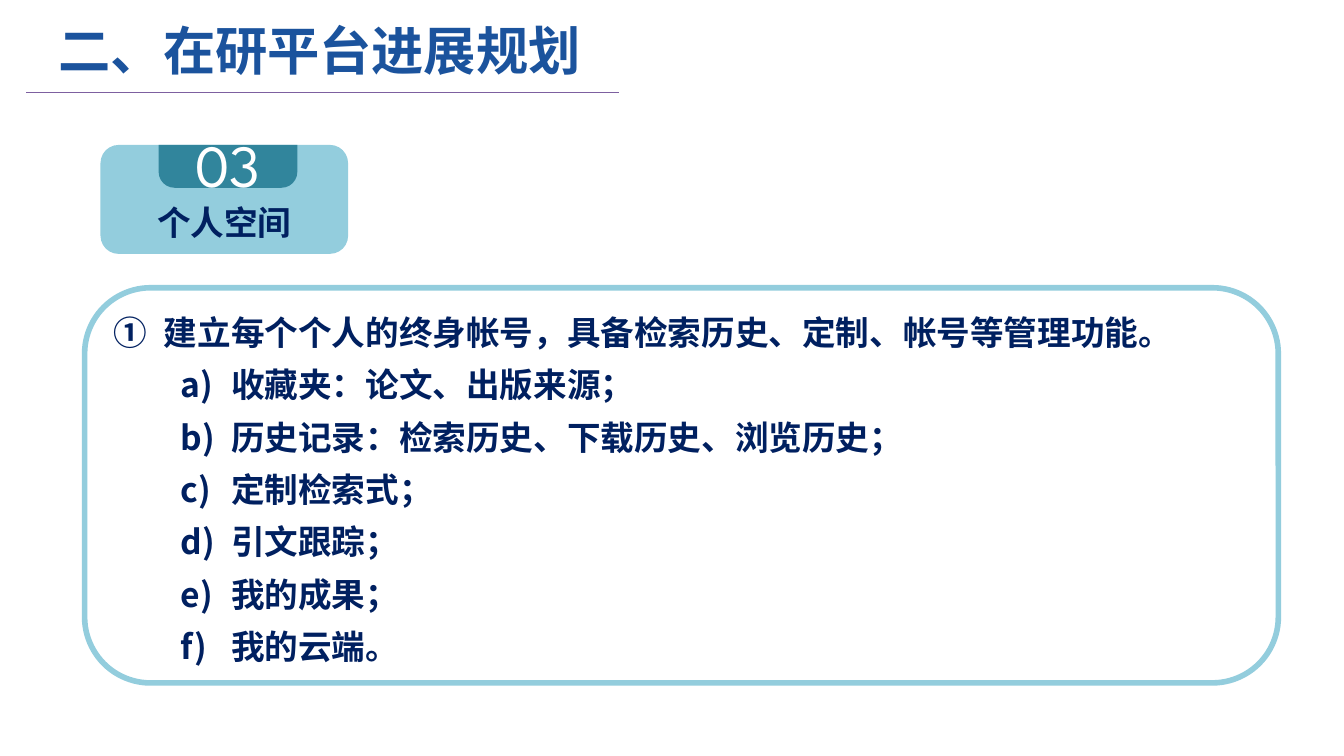
import pptx
import pptx.dml.color
import pptx.enum.shapes
import pptx.enum.text
import pptx.oxml.ns
import pptx.util
from lxml import etree
from pptx.util import Cm

RGBColor = pptx.dml.color.RGBColor
Shape = pptx.enum.shapes.MSO_SHAPE
Align = pptx.enum.text.PP_ALIGN
Anchor = pptx.enum.text.MSO_ANCHOR

NAVY = RGBColor(0x00, 0x20, 0x60)
TITLE_BLUE = RGBColor(0x1B, 0x53, 0x9D)
SKY = RGBColor(0x93, 0xCD, 0xDD)
TEAL = RGBColor(0x31, 0x85, 0x9C)
PURPLE = RGBColor(0x7D, 0x60, 0xA0)
WHITE = RGBColor(0xFF, 0xFF, 0xFF)

CHINESE_FONT = "Noto Sans CJK SC"
NUMBER_FONT = "League Spartan"

HEADING = "建立每个个人的终身帐号，具备检索历史、定制、帐号等管理功能。"
FEATURES = [
    "收藏夹：论文、出版来源；",
    "历史记录：检索历史、下载历史、浏览历史；",
    "定制检索式；",
    "引文跟踪；",
    "我的成果；",
    "我的云端。",
]


def add_xml(parent, tag, **attributes):
    return etree.SubElement(parent, pptx.oxml.ns.qn(tag), attributes)


def write(para, text, size=18, color=NAVY, bold=True, font=CHINESE_FONT,
          align=None, spacing=None):
    """Put one formatted run into a paragraph."""
    if align is not None:
        para.alignment = align
    if spacing is not None:
        para.line_spacing = spacing
    span = para.add_run()
    span.text = text
    span.font.size = pptx.util.Pt(size)
    span.font.bold = bold
    span.font.color.rgb = color
    span.font.name = font
    add_xml(span._r.get_or_add_rPr(), "a:ea", typeface=font)


def number_paragraph(para, scheme, left):
    """Number a paragraph automatically, with a hanging indent."""
    properties = para._p.get_or_add_pPr()
    properties.set("marL", str(left))
    properties.set("indent", str(-Cm(0.95)))
    add_xml(properties, "a:buFont", typeface="+mj-lt")
    add_xml(properties, "a:buAutoNum", type=scheme)


def add_panel(page, kind, left, top, width, height, fill=None, line=None):
    panel = page.shapes.add_shape(kind, left, top, width, height)
    panel.shadow.inherit = False
    if fill is None:
        panel.fill.background()
    else:
        panel.fill.solid()
        panel.fill.fore_color.rgb = fill
    if line is None:
        panel.line.fill.background()
    else:
        panel.line.color.rgb = line
        panel.line.width = pptx.util.Pt(3)
    panel.text_frame.vertical_anchor = Anchor.MIDDLE
    return panel


def add_text_box(page, left, top, width, height, anchor=Anchor.TOP):
    frame = page.shapes.add_textbox(left, top, width, height).text_frame
    frame.word_wrap = True
    frame.vertical_anchor = anchor
    return frame


def add_title(page):
    frame = add_text_box(page, Cm(0.86), Cm(0.33), Cm(10.77), Cm(1.22),
                         Anchor.MIDDLE)
    write(frame.paragraphs[0], "二、在研平台进展规划", size=28, color=TITLE_BLUE)
    rule = page.shapes.add_connector(
        pptx.enum.shapes.MSO_CONNECTOR.STRAIGHT,
        Cm(0.5), Cm(1.75), Cm(11.7), Cm(1.75))
    rule.line.color.rgb = PURPLE
    rule.line.width = pptx.util.Pt(0.75)
    add_xml(rule._element.spPr, "a:effectLst")


def add_section_badge(page):
    badge = add_panel(page, Shape.ROUNDED_RECTANGLE,
                      Cm(1.9), Cm(2.74), Cm(4.68), Cm(2.06), fill=SKY)
    frame = badge.text_frame
    frame.margin_left = frame.margin_right = Cm(0.2)
    frame.margin_top, frame.margin_bottom = Cm(0.64), Cm(0)
    write(frame.paragraphs[0], "个人空间", align=Align.CENTER, spacing=1.3)

    tab = add_panel(page, Shape.ROUND_2_SAME_RECTANGLE,
                    Cm(3), Cm(2.74), Cm(2.62), Cm(0.81), fill=TEAL)
    tab.adjustments[0] = 0
    tab.adjustments[1] = 0.37
    write(tab.text_frame.paragraphs[0], "03", size=32, color=WHITE, bold=False,
          font=NUMBER_FONT, align=Align.CENTER)


def add_feature_list(page):
    add_panel(page, Shape.ROUNDED_RECTANGLE,
              Cm(1.6), Cm(5.44), Cm(22.56), Cm(7.47), line=SKY)
    frame = add_text_box(page, Cm(1.9), Cm(5.54), Cm(22.25), Cm(8.18))
    frame.auto_size = pptx.enum.text.MSO_AUTO_SIZE.SHAPE_TO_FIT_TEXT
    para = frame.paragraphs[0]
    number_paragraph(para, "circleNumDbPlain", Cm(0.95))
    write(para, HEADING, spacing=1.3)
    for feature in FEATURES:
        para = frame.add_paragraph()
        para.level = 1
        number_paragraph(para, "alphaLcParenR", Cm(2.22))
        write(para, feature, spacing=1.3)


def main():
    deck = pptx.Presentation()
    deck.slide_width, deck.slide_height = Cm(25.4), Cm(14.29)
    page = deck.slides.add_slide(deck.slide_layouts[6])
    add_section_badge(page)
    add_feature_list(page)
    add_title(page)
    deck.save("out.pptx")


if __name__ == "__main__":
    main()
